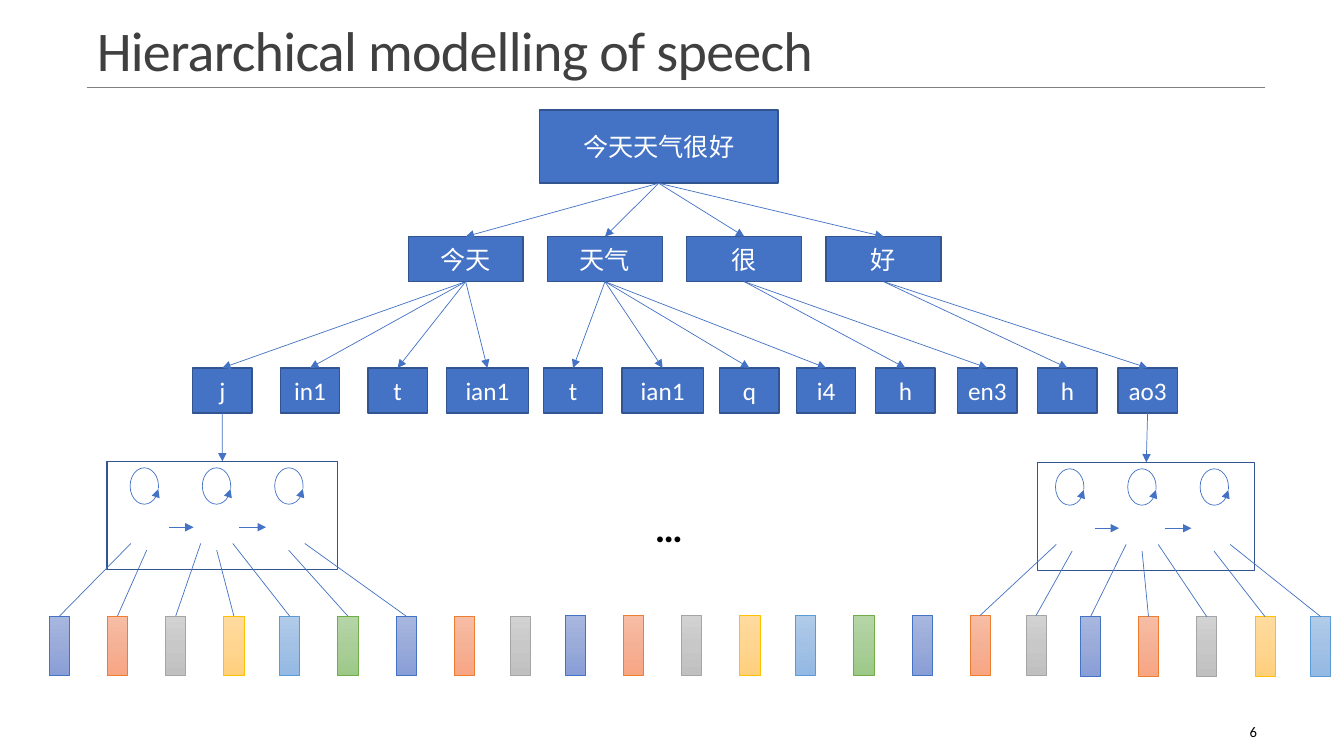
from copy import deepcopy
from typing import NamedTuple

from lxml import etree
from pptx import Presentation
from pptx.dml.color import RGBColor
from pptx.enum import shapes, text
from pptx.oxml import ns
from pptx.util import Pt

BLUE, EDGE = "4472C4", "325491"
TOP, BOTTOM = 0, 2


class Box(NamedTuple):
    x: float
    y: float
    w: float
    h: float


class Phone(NamedTuple):
    label: str
    x: float
    word: int


class Model(NamedTuple):
    """A three-state model; dx and dy shift its parts from the first one."""
    phone: int
    first_frame: int
    box: Box
    dx: float
    dy: float


class FrameGroup(NamedTuple):
    x: float
    y: float
    count: int


class Swatch(NamedTuple):
    line: str
    stops: tuple


WORDS = ("今天", "天气", "很", "好")
PHONES = (
    Phone("j", 137.5, 0), Phone("in1", 200.2, 0), Phone("t", 262.8, 0),
    Phone("ian1", 319, 0), Phone("t", 388.1, 1), Phone("ian1", 444.2, 1),
    Phone("q", 514.1, 1), Phone("i4", 568.8, 1), Phone("h", 625.5, 2),
    Phone("en3", 684, 2), Phone("h", 741.2, 3), Phone("ao3", 798.5, 3),
)
MODELS = (
    Model(0, 0, Box(76.5, 329.6, 164.7, 77.2), 0, 0),
    Model(-1, 16, Box(741.3, 330.3, 155, 77.2), 661, 0.7),
)
ARC_X = (103.1, 154.7, 206.4)
STATE_ARROWS = ((121, 138.3), (170.8, 190))
FAN_X = (93.5, 104.8, 143.4, 154.8, 166.3, 206.2, 217.7)
FRAME_GROUPS = (FrameGroup(35.3, 440.1, 9), FrameGroup(403.9, 439.6, 9),
                FrameGroup(771.8, 440.5, 5))
FRAME_OFFSETS = (0, 41.4, 83, 124.6, 164.4, 206, 247.6, 289, 329)
SWATCHES = (
    Swatch(BLUE, ("A8B7DF", "9AABD9", "889ED7")),
    Swatch("ED7D31", ("F7BDA5", "F5B196", "F8A582")),
    Swatch("A5A5A5", ("D2D2D2", "C8C8C8", "C0C0C0")),
    Swatch("FFC000", ("FFDB9E", "FFD590", "FFD07C")),
    Swatch("5B9BD5", ("B1CBE9", "A3C1E5", "93B9E4")),
    Swatch("70AD47", ("B5D5A7", "AACE9A", "9CC987")),
)

prs = Presentation()
prs.slide_width, prs.slide_height = Pt(960), Pt(540)
s = prs.slides.add_slide(prs.slide_layouts[5])


def rgb(value: str) -> RGBColor:
    return RGBColor.from_string(value)


def place(sp, box: Box) -> None:
    for name, value in zip(("left", "top", "width", "height"), box):
        setattr(sp, name, Pt(value))


def write(sp, words: str, size: float, color: str, align, anchor, bold=False):
    tf = sp.text_frame
    for name, value in {"word_wrap": True, "vertical_anchor": anchor,
                        "auto_size": text.MSO_AUTO_SIZE.NONE}.items():
        setattr(tf, name, value)
    p = tf.paragraphs[0]
    p.alignment = align
    r = p.add_run()
    r.text = words
    for name, value in {"name": "Calibri", "size": Pt(size), "bold": bold}.items():
        setattr(r.font, name, value)
    r.font.color.rgb = rgb(color)
    return p


def outline(sp, color: str, width: float, arrow: str = "") -> None:
    """Format a line; arrow is headEnd, tailEnd or empty."""
    sp.line.color.rgb = rgb(color)
    sp.line.width = Pt(width)
    if arrow:
        etree.SubElement(sp.line._get_or_add_ln(), ns.qn(f"a:{arrow}"), type="triangle")


def shape(box: Box, color: str, width: float, kind=shapes.MSO_SHAPE.RECTANGLE, arrow=""):
    sp = s.shapes.add_shape(kind, *map(Pt, box))
    sp.shadow.inherit = False
    sp.fill.background()
    outline(sp, color, width, arrow)
    return sp


def label_box(words: str, box: Box):
    sp = shape(box, EDGE, 1)
    sp.fill.solid()
    sp.fill.fore_color.rgb = rgb(BLUE)
    write(sp, words, 18, "FFFFFF", text.PP_ALIGN.CENTER, text.MSO_ANCHOR.MIDDLE)
    return sp


def line(start=(0, 0), end=(0, 0), parent=None, child=None,
         color: str = BLUE, arrow: str = "tailEnd"):
    """Draw from start or parent's bottom to end or child's top."""
    c = s.shapes.add_connector(shapes.MSO_CONNECTOR.STRAIGHT, *map(Pt, (*start, *end)))
    if parent is not None:
        c.begin_connect(parent, BOTTOM)
    if child is not None:
        c.end_connect(child, TOP)
    outline(c, color, 0.5, arrow)
    etree.SubElement(c._element.spPr, ns.qn("a:effectLst"))


def frame(box: Box, swatch: Swatch):
    sp = shape(box, swatch.line, 0.5)
    sp.fill.gradient()
    sp.fill.gradient_angle = 270
    stops = sp._element.spPr.find(ns.qn("a:gradFill")).find(ns.qn("a:gsLst"))
    stops.append(deepcopy(stops[0]))
    for stop, position, color in zip(sp.fill.gradient_stops, (0, 0.5, 1), swatch.stops):
        stop.position = position
        stop.color.rgb = rgb(color)
    return sp


def draw_model(model: Model, phone) -> None:
    box = shape(model.box, EDGE, 1)
    for x1, x2 in STATE_ARROWS:
        y = 376.6 + model.dy
        line((x1 + model.dx, y), (x2 + model.dx, y))
    for x in ARC_X:
        arc = shape(Box(x + model.dx - 13, 337 + model.dy, 26, 20.3), BLUE, 0.5,
                    shapes.MSO_SHAPE.ARC, "headEnd")
        arc.rotation = 270
        arc.adjustments[0], arc.adjustments[1] = 61.316, 60.484
    line(parent=phone, child=box)


def text_box(words: str, box: Box, *style) -> None:
    write(s.shapes.add_textbox(*map(Pt, box)), words, *style)


def main() -> None:
    line((61.9, 62.6), (903.6, 62.6), color="808080", arrow="")
    title = s.shapes.title
    place(title, Box(61.9, 9.4, 842.4, 53.2))
    p = write(title, "Hierarchical modelling of speech", 40, "404040",
              text.PP_ALIGN.LEFT, text.MSO_ANCHOR.BOTTOM)
    p.line_spacing = 0.85
    p.runs[0].font._element.set("spc", "-50")

    sentence = label_box("今天天气很好", Box(385.2, 78.7, 170.6, 52.2))
    words = [label_box(word, Box(291.6 + 99.5 * i, 169, 82.1, 32.2))
             for i, word in enumerate(WORDS)]
    for word in words:
        line(parent=sentence, child=word)
    phones = []
    for phone in PHONES:
        width = 58.3 if phone.label == "ian1" else 42.5
        phones.append(label_box(phone.label, Box(phone.x, 262.8, width, 32.2)))
        line(parent=words[phone.word], child=phones[-1])

    for model in MODELS:
        draw_model(model, phones[model.phone])
    text_box("…", Box(460.8, 355.7, 141.8, 41), 28, "000000",
             text.PP_ALIGN.LEFT, text.MSO_ANCHOR.TOP, True)

    frames = [frame(Box(group.x + dx, group.y, 14.4, 42.5), SWATCHES[i % len(SWATCHES)])
              for group in FRAME_GROUPS
              for i, dx in enumerate(FRAME_OFFSETS[:group.count])]
    for model in MODELS:
        for i, x in enumerate(FAN_X):
            y = 388.2 + 4.8 * (i % 2) + model.dy
            line((x + model.dx, y), child=frames[model.first_frame + i], arrow="")

    text_box("6", Box(802.1, 508.3, 103, 28.8), 10.5, "000000",
             text.PP_ALIGN.RIGHT, text.MSO_ANCHOR.MIDDLE)
    prs.save("out.pptx")


if __name__ == "__main__":
    main()
